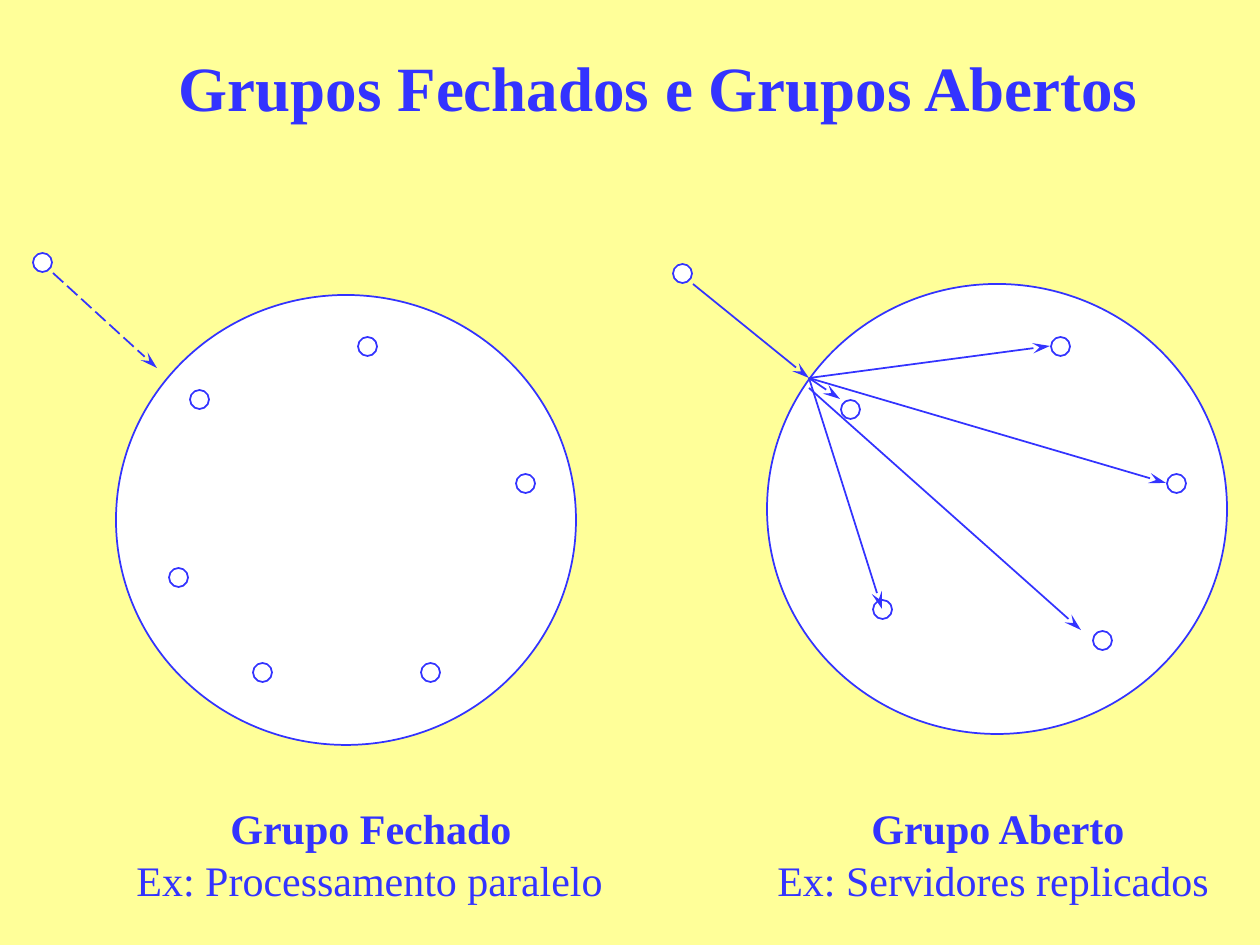
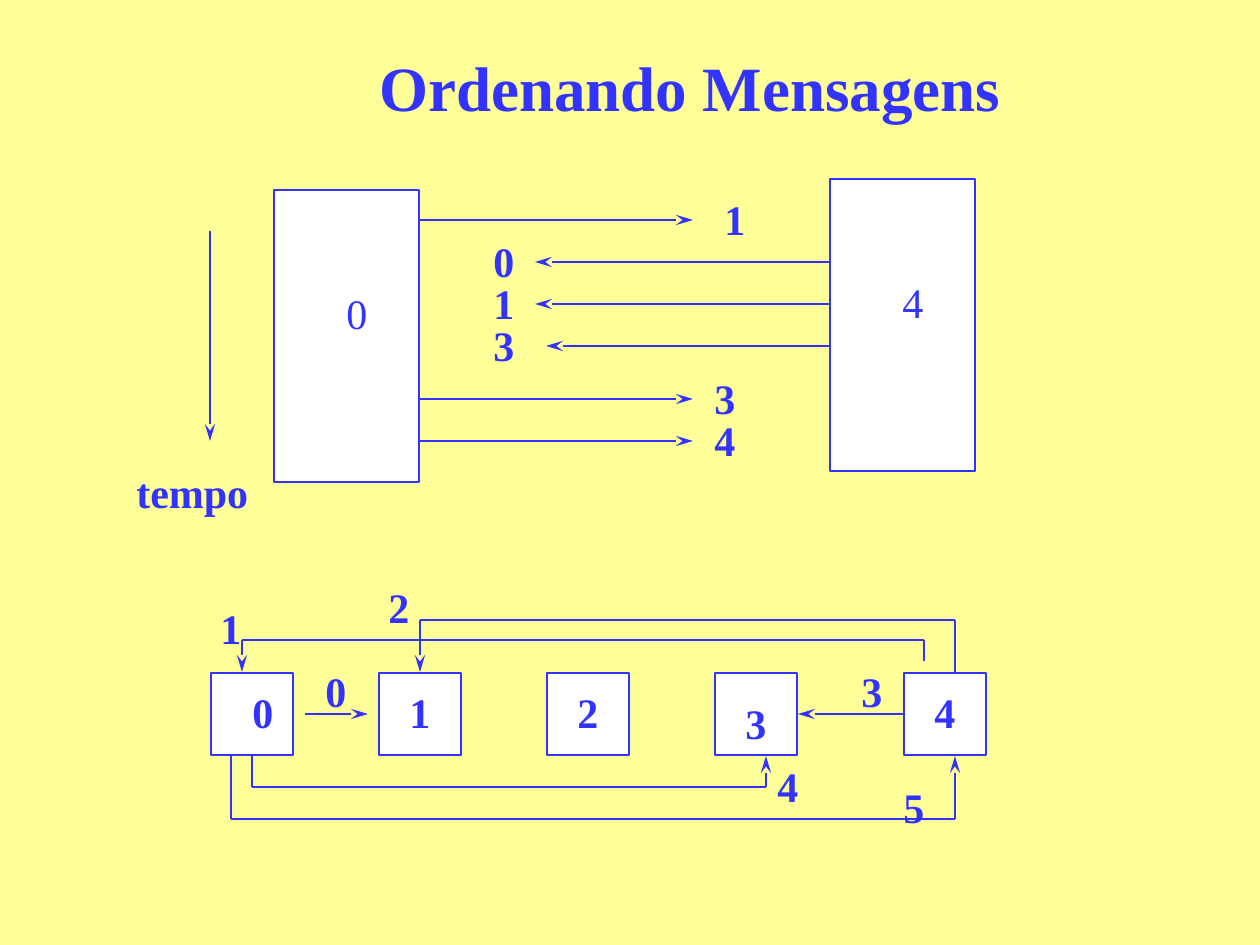
from itertools import pairwise

from lxml import etree
from pptx import Presentation
from pptx.dml.color import RGBColor
from pptx.enum.dml import MSO_LINE
from pptx.enum.shapes import MSO_CONNECTOR, MSO_SHAPE
from pptx.enum.text import MSO_AUTO_SIZE, PP_ALIGN
from pptx.oxml.ns import qn
from pptx.util import Pt

BLUE = RGBColor(0x33, 0x33, 0xFF)
WHITE = RGBColor(0xFF, 0xFF, 0xFF)
CREAM = RGBColor(0xFF, 0xFF, 0x99)
FONT = "Times New Roman"
PX = 914400 / 126

OVAL = MSO_SHAPE.OVAL
RECT = MSO_SHAPE.RECTANGLE
STRAIGHT = MSO_CONNECTOR.STRAIGHT
DASH = MSO_LINE.LONG_DASH
LEFT, CENTER = PP_ALIGN.LEFT, PP_ALIGN.CENTER
GROW, FIXED = MSO_AUTO_SIZE.SHAPE_TO_FIT_TEXT, MSO_AUTO_SIZE.NONE


def emu(*sizes):
    return [round(size * PX) for size in sizes]


class Deck:
    """Holds the shared style and the slide being drawn."""

    def __init__(self):
        self.prs = Presentation()
        self.prs.slide_width, self.prs.slide_height = emu(1260, 945)

    def start(self, title, left, width):
        self.slide = self.prs.slides.add_slide(self.prs.slide_layouts[6])
        fill = self.slide.background.fill
        fill.solid()
        fill.fore_color.rgb = CREAM
        self.text(title, left, 42, width, 798, size=36, align=CENTER, wrap=True)

    def text(self, words, left, top, width, height=63, size=24, bold=True,
             align=LEFT, wrap=False):
        box = self.slide.shapes.add_textbox(*emu(left, top, width, height))
        frame = box.text_frame
        frame.word_wrap = wrap
        frame.auto_size = FIXED if wrap else GROW
        para = frame.paragraphs[0]
        para.alignment = align
        run = para.add_run()
        run.text = words
        look = {"name": FONT, "size": Pt(size), "bold": bold}
        for name, value in look.items():
            setattr(run.font, name, value)
        run.font.color.rgb = BLUE

    def digit(self, words, left, top, bold=True):
        self.text(words, left, top, 47, bold=bold)

    def shape(self, kind, left, top, width, height):
        item = self.slide.shapes.add_shape(kind, *emu(left, top, width, height))
        item.shadow.inherit = False
        item.fill.solid()
        item.fill.fore_color.rgb = WHITE
        item.line.color.rgb = BLUE
        item.line.width = Pt(1)

    def dot(self, x, y):
        """Draw a group member centred on x, y."""
        self.shape(OVAL, x - 9, y - 9, 19, 19)

    def line(self, start, end, head=True, dash=None):
        link = self.slide.shapes.add_connector(STRAIGHT, *emu(*start, *end))
        link.line.color.rgb = BLUE
        link.line.width = Pt(1)
        if dash:
            link.line.dash_style = dash
        props = link._element.spPr
        if head:
            etree.SubElement(props.find(qn("a:ln")), qn("a:tailEnd"),
                             type="stealth", w="med", len="lg")
        etree.SubElement(props, qn("a:effectLst"))

    def route(self, *points):
        """Join the points by lines, with an arrowhead on the last."""
        for start, end in pairwise(points):
            self.line(start, end, head=end == points[-1])


def draw_groups(deck):
    deck.start("Grupos Fechados e Grupos Abertos", 123, 1071)
    for left, top in ((116, 295), (767, 284)):
        deck.shape(OVAL, left, top, 460, 450)

    closed = [(199, 399), (367, 346), (525, 483), (430, 672), (262, 672),
              (178, 577), (42, 262)]
    opened = [(850, 409), (1060, 346), (882, 609), (1102, 640), (1176, 483),
              (682, 273)]
    for x, y in closed + opened:
        deck.dot(x, y)

    deck.line((53, 273), (157, 368), dash=DASH)
    gate = (809, 378)
    deck.line((693, 284), gate)
    for end in ((1050, 346), (882, 609), (840, 399), (1166, 483)):
        deck.line(gate, end)
    deck.line((809, 388), (1081, 630))

    for words, left, width in (("Grupo Fechado", 218, 310),
                               ("Grupo Aberto", 859, 285)):
        deck.text(words, left, 796, width)
    for words, left, width in (("Ex: Processamento paralelo", 124, 500),
                               ("Ex: Servidores replicados", 765, 465)):
        deck.text(words, left, 848, width, bold=False)


def draw_order(deck):
    deck.start("Ordenando Mensagens", 123, 1134)
    for name, left, top in (("0", 274, 190), ("4", 830, 179)):
        deck.shape(RECT, left, top, 145, 292)
        deck.digit(name, left + 60, top + 91, bold=False)
    deck.line((210, 231), (210, 441))
    deck.text("tempo", 124, 460, 140)

    sends = [("1", 420, 693, 220, 712), ("0", 829, 535, 262, 481),
             ("1", 829, 535, 304, 481), ("3", 829, 546, 346, 481),
             ("3", 420, 693, 399, 702), ("4", 420, 693, 441, 702)]
    for name, start, end, y, left in sends:
        deck.line((start, y), (end, y))
        deck.digit(name, left, y - 33)

    nodes = [(211, 240, 680), (379, 397, 680), (547, 565, 680),
             (715, 733, 691), (904, 922, 680)]
    for name, (left, inner, top) in enumerate(nodes):
        deck.shape(RECT, left, 673, 82, 82)
        deck.digit(str(name), inner, top)

    deck.route((305, 714), (368, 714))
    deck.route((924, 661), (924, 640), (242, 640), (242, 672))
    deck.route((955, 672), (955, 620), (420, 620), (420, 672))
    deck.route((903, 714), (798, 714))
    deck.route((252, 756), (252, 787), (766, 787), (766, 756))
    deck.route((231, 756), (231, 819), (955, 819), (955, 756))
    marks = [(313, 659), (208, 596), (376, 575), (849, 659), (765, 754),
             (891, 775)]
    for name, (left, top) in enumerate(marks):
        deck.digit(str(name), left, top)


def main():
    deck = Deck()
    draw_groups(deck)
    draw_order(deck)
    deck.prs.save("out.pptx")


if __name__ == "__main__":
    main()
